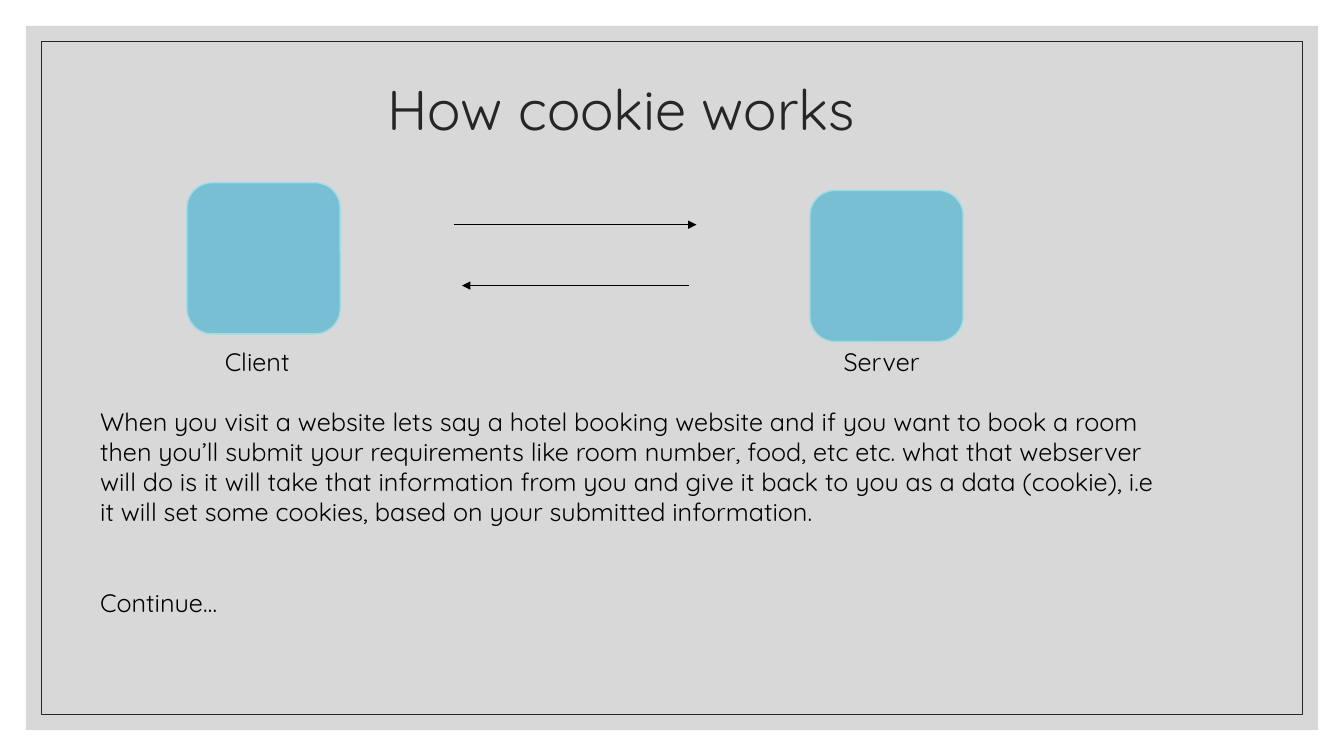
from dataclasses import dataclass

from lxml.etree import SubElement
from pptx import Presentation
from pptx.dml.color import RGBColor
from pptx.enum.shapes import MSO_CONNECTOR, MSO_SHAPE
from pptx.enum.text import MSO_ANCHOR, MSO_AUTO_SIZE, PP_ALIGN
from pptx.oxml.ns import qn
from pptx.shapes.autoshape import Shape
from pptx.slide import Slide
from pptx.text.text import TextFrame
from pptx.util import Pt

FONT = "Quicksand"
BLACK = RGBColor(0x00, 0x00, 0x00)
CHARCOAL = RGBColor(0x26, 0x26, 0x26)
GREY = RGBColor(0xBF, 0xBF, 0xBF)
BLUE = RGBColor(0x78, 0xBF, 0xD3)
PALE_BLUE = RGBColor(0x9D, 0xDD, 0xE6)

SLIDE_WIDTH, SLIDE_HEIGHT = 960, 540
NODE_WIDTH, NODE_HEIGHT = 109.5, 108
LABEL_TOP, LABEL_HEIGHT = 244, 29

EXPLANATION = (
    "When you visit a website lets say a hotel booking website and if you want to book a room "
    "then you’ll submit your requirements like room number, food, etc etc. what that webserver "
    "will do is it will take that information from you and give it back to you as a data "
    "(cookie), i.e it will set some cookies, based on your submitted information."
)


@dataclass(frozen=True)
class Node:
    label: str
    left: float
    top: float
    label_left: float
    label_width: float


@dataclass(frozen=True)
class Message:
    start: float
    end: float
    y: float


NODES = [
    Node("Client", 133.5, 130.5, 153.5, 109.5),
    Node("Server", 578.5, 136, 595.5, 75),
]
MESSAGES = [Message(324, 497.5, 160.5), Message(492, 330, 204)]


def write(frame: TextFrame, *paragraphs: str, size: float = 18, color: RGBColor = BLACK,
          align: PP_ALIGN = PP_ALIGN.LEFT, line_spacing: float = 1.0, gap: float = 0) -> None:
    frame.word_wrap = True
    frame.auto_size = MSO_AUTO_SIZE.NONE
    for index, text in enumerate(paragraphs):
        paragraph = frame.paragraphs[0] if index == 0 else frame.add_paragraph()
        paragraph.alignment = align
        paragraph.line_spacing = line_spacing
        paragraph.space_before = Pt(gap if index else 0)
        run = paragraph.add_run()
        run.text = text
        run.font.name = FONT
        run.font.size = Pt(size)
        run.font.color.rgb = color


def add_text(slide: Slide, left: float, top: float, width: float, height: float,
             *paragraphs: str, gap: float = 0) -> None:
    box = slide.shapes.add_textbox(Pt(left), Pt(top), Pt(width), Pt(height))
    write(box.text_frame, *paragraphs, gap=gap)


def add_block(slide: Slide, preset: MSO_SHAPE, left: float, top: float, width: float,
              height: float, fill: RGBColor | None = None, line: RGBColor | None = None,
              line_width: float = 1) -> Shape:
    block = slide.shapes.add_shape(preset, Pt(left), Pt(top), Pt(width), Pt(height))
    block.shadow.inherit = False
    if fill is None:
        block.fill.background()
    else:
        block.fill.solid()
        block.fill.fore_color.rgb = fill
    if line is None:
        block.line.fill.background()
    else:
        block.line.color.rgb = line
        block.line.width = Pt(line_width)
    return block


def add_frame(slide: Slide, margin: float, fill: RGBColor | None = None,
              line: RGBColor | None = None) -> Shape:
    """Draw a rectangle at an equal margin from all slide edges."""
    return add_block(slide, MSO_SHAPE.RECTANGLE, margin, margin, SLIDE_WIDTH - 2 * margin,
                     SLIDE_HEIGHT - 2 * margin, fill, line, line_width=0.5)


def set_opacity(shape: Shape, percent: int) -> None:
    color = shape._element.spPr.find(qn("a:solidFill")).find(qn("a:srgbClr"))
    SubElement(color, qn("a:alpha"), val=str(percent * 1000))


def add_title(slide: Slide, text: str) -> None:
    title = slide.shapes.title
    title.left, title.top, title.width, title.height = Pt(84), Pt(50.5), Pt(792), Pt(60)
    title.text_frame.vertical_anchor = MSO_ANCHOR.MIDDLE
    title.text_frame.margin_right = Pt(80)
    write(title.text_frame, text, size=40, color=CHARCOAL, align=PP_ALIGN.CENTER,
          line_spacing=0.9)
    # Bring the title in front of the background frames.
    slide.shapes._spTree.append(title._element)


def add_node(slide: Slide, node: Node) -> None:
    add_block(slide, MSO_SHAPE.ROUNDED_RECTANGLE, node.left, node.top, NODE_WIDTH,
              NODE_HEIGHT, BLUE, PALE_BLUE)
    add_text(slide, node.label_left, LABEL_TOP, node.label_width, LABEL_HEIGHT, node.label)


def add_message(slide: Slide, message: Message) -> None:
    arrow = slide.shapes.add_connector(MSO_CONNECTOR.STRAIGHT, Pt(message.start),
                                       Pt(message.y), Pt(message.end), Pt(message.y))
    arrow.line.color.rgb = BLACK
    arrow.line.width = Pt(0.5)
    SubElement(arrow.line._get_or_add_ln(), qn("a:tailEnd"), type="triangle")
    SubElement(arrow._element.spPr, qn("a:effectLst"))


def main() -> None:
    deck = Presentation()
    deck.slide_width, deck.slide_height = Pt(SLIDE_WIDTH), Pt(SLIDE_HEIGHT)
    slide = deck.slides.add_slide(deck.slide_layouts.get_by_name("Title Only"))

    panel = add_frame(slide, 18.5, fill=GREY)
    set_opacity(panel, 60)
    add_frame(slide, 29.5, line=CHARCOAL)
    add_title(slide, "How cookie works")
    for node in NODES:
        add_node(slide, node)
    for message in MESSAGES:
        add_message(slide, message)
    add_text(slide, 64.5, 286.5, 781, 160, EXPLANATION, "Continue…", gap=43)

    deck.save("out.pptx")


if __name__ == "__main__":
    main()
